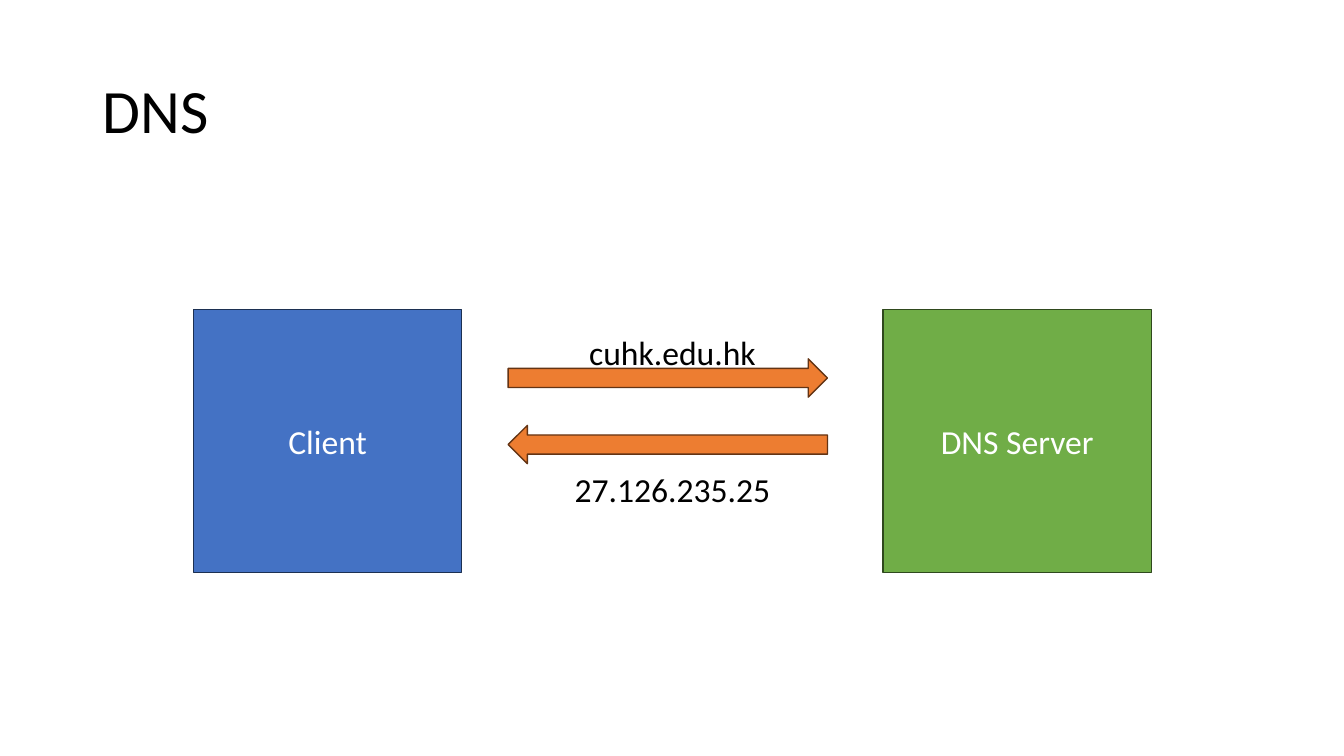
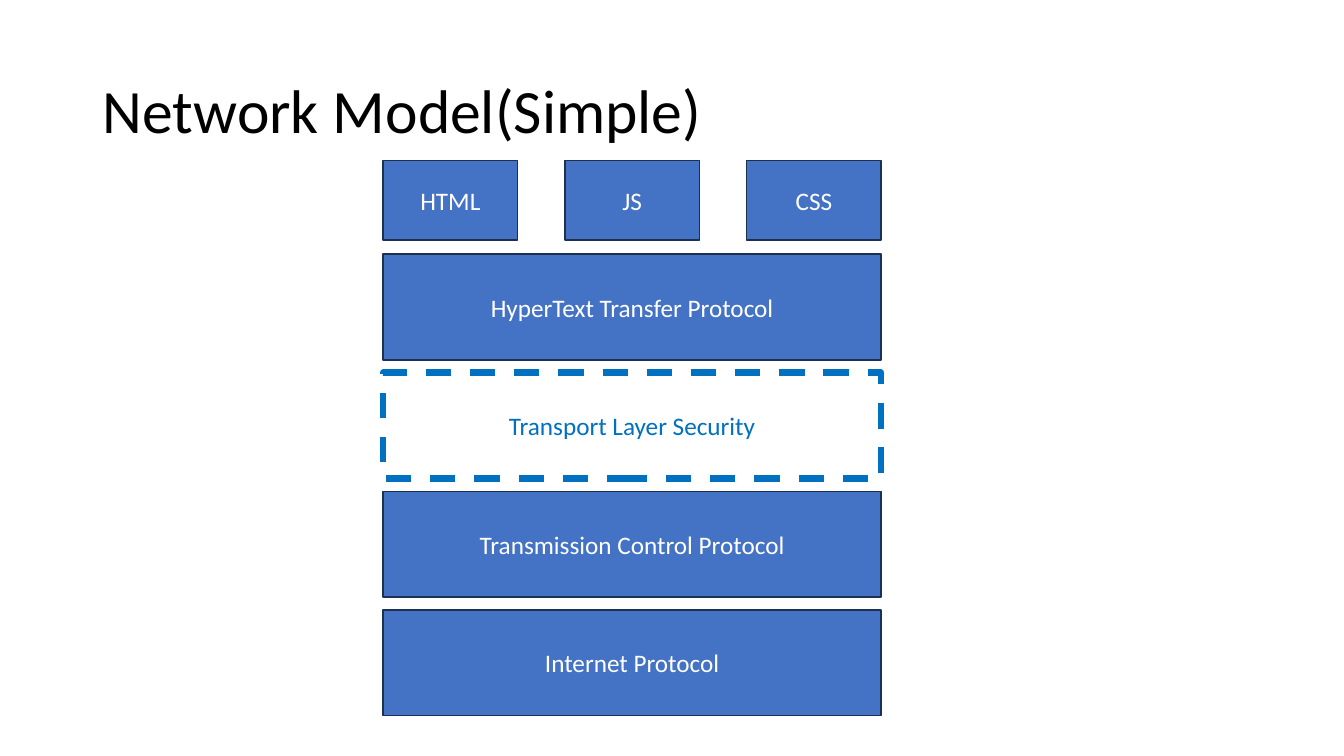
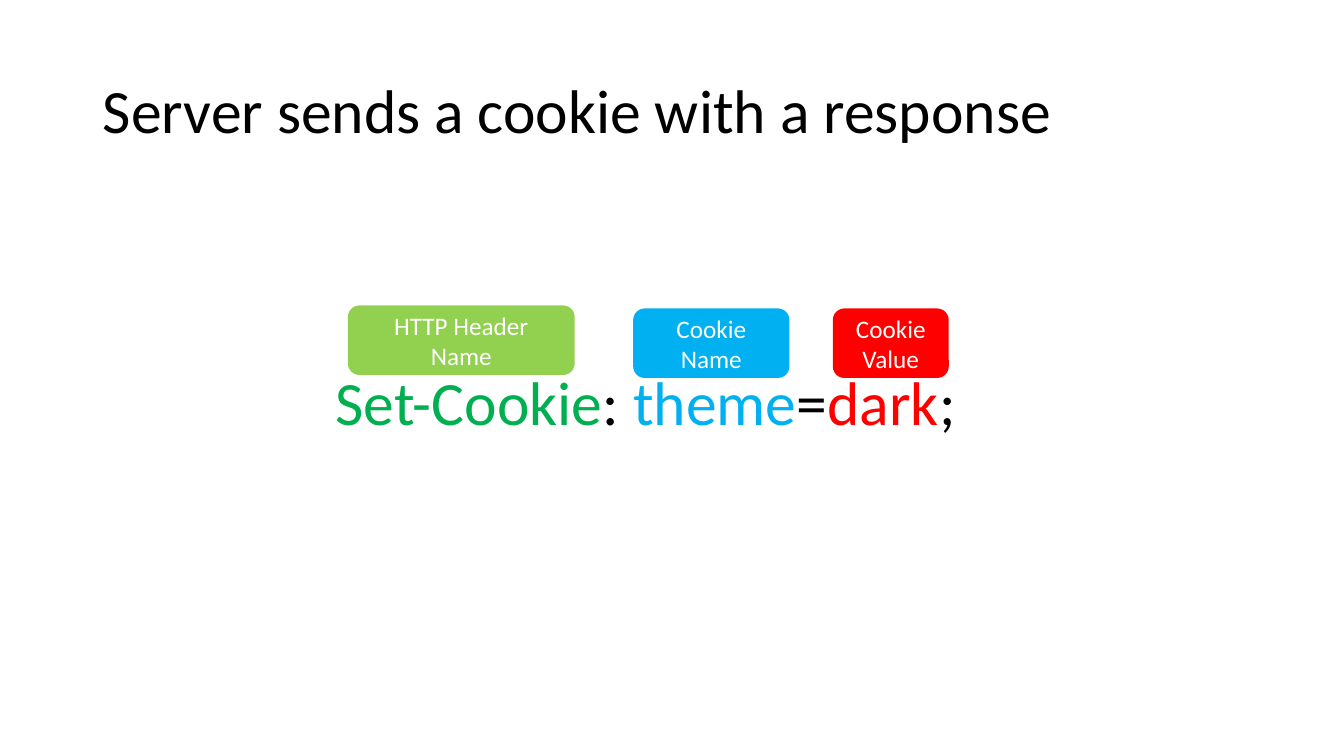
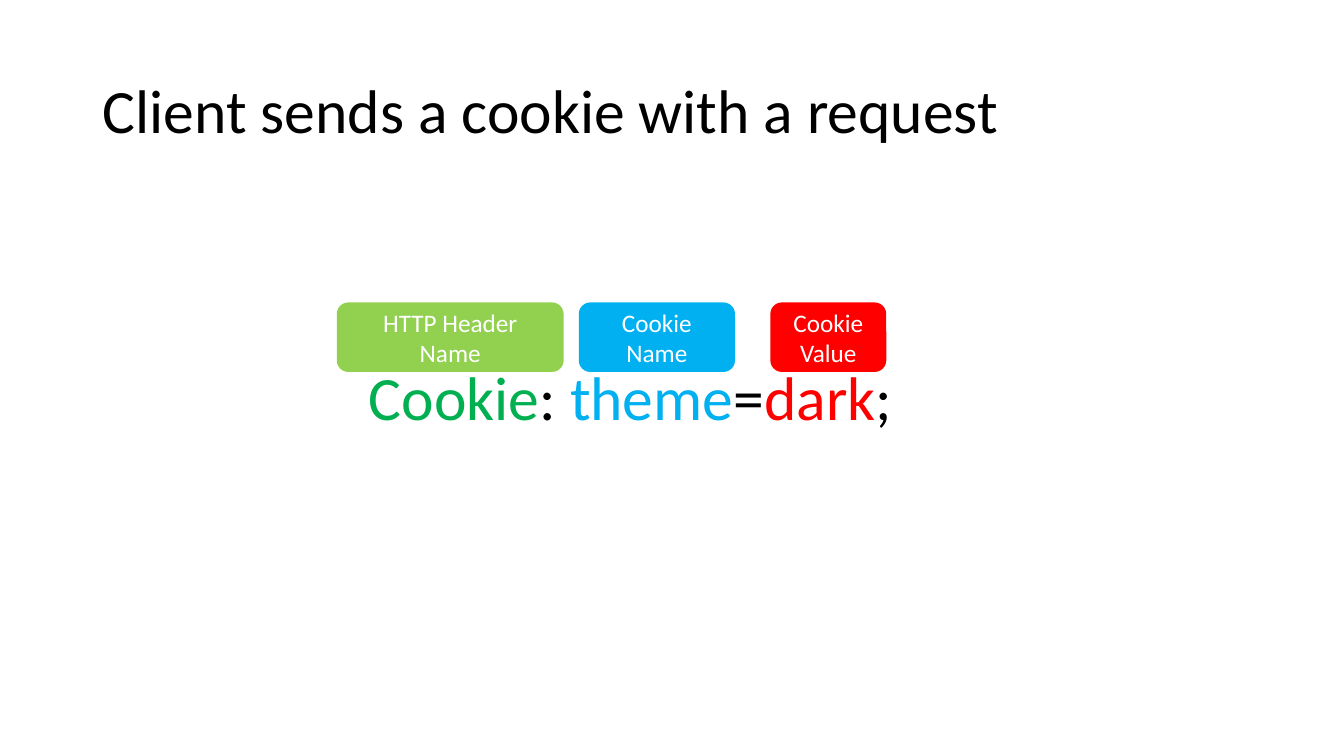
import pptx
import pptx.util
import pptx.dml.color
import pptx.enum.dml
import pptx.enum.shapes
import pptx.enum.text

Inch = pptx.util.Inches
Pt = pptx.util.Pt
KIND = pptx.enum.shapes.MSO_SHAPE
ALIGN = pptx.enum.text.PP_ALIGN
ANCHOR = pptx.enum.text.MSO_ANCHOR
DASH = pptx.enum.dml.MSO_LINE.DASH

# Shared look
FONT = "Calibri"
BLACK, WHITE = "000000", "FFFFFF"
BLUE, NAVY = "4472C4", "1C3052"
GREEN, MOSS = "70AD47", "2F491D"
ORANGE, BROWN = "ED7D31", "643414"
TEAL, LIME, LEAF, SKY, RED = "0070C0", "92D050", "00B050", "00B0F0", "FF0000"


def rgb(code):
    return pptx.dml.color.RGBColor.from_string(code)


def write(frame, runs, size, align=ALIGN.LEFT, anchor=ANCHOR.TOP, lead=None):
    """Fill a frame with one paragraph of (text, colour) runs."""
    frame.word_wrap = True
    frame.auto_size = pptx.enum.text.MSO_AUTO_SIZE.NONE
    frame.vertical_anchor = anchor
    para = frame.paragraphs[0]
    para.alignment = align
    if lead:
        para.line_spacing = lead
    for text, color in runs:
        run = para.add_run()
        run.text = text
        run.font.name = FONT
        run.font.size = Pt(size)
        run.font.color.rgb = rgb(color)


def label(slide, box, runs, size, **style):
    area = slide.shapes.add_textbox(*map(Inch, box))
    write(area.text_frame, runs, size, **style)


def block(slide, kind, box, fill=None, edge=None, width=1, dash=None,
          text=None, size=18, color=WHITE):
    """Draw a preset shape with optional centred text."""
    shape = slide.shapes.add_shape(kind, *map(Inch, box))
    shape.shadow.inherit = False
    if fill:
        shape.fill.solid()
        shape.fill.fore_color.rgb = rgb(fill)
    else:
        shape.fill.background()
    if edge:
        shape.line.color.rgb = rgb(edge)
        shape.line.width = Pt(width)
        if dash:
            shape.line.dash_style = dash
    else:
        shape.line.fill.background()
    if text:
        write(shape.text_frame, [(text, color)], size,
              ALIGN.CENTER, ANCHOR.MIDDLE)
    return shape


def page(deck, title):
    """Add a slide with the shared title style."""
    slide = deck.slides.add_slide(deck.slide_layouts[5])
    head = slide.shapes.title
    head.left, head.top, head.width, head.height = map(
        Inch, (0.92, 0.4, 11.5, 1.45))
    write(head.text_frame, [(title, BLACK)], 44,
          anchor=ANCHOR.MIDDLE, lead=0.9)
    return slide


def lookup(slide, box):
    """Two hosts with a question and an answer between them."""
    left, top, wide, high = box
    side = 0.28 * wide
    hosts = [("Client", BLUE, NAVY, left),
             ("DNS Server", GREEN, MOSS, left + wide - side)]
    for name, fill, edge, x in hosts:
        block(slide, KIND.RECTANGLE, (x, top, side, high), fill, edge,
              text=name, size=24)
    # Arrows and their labels, centred in the gap
    gap = wide - 2 * side
    trips = [("cuhk.edu.hk", 0.49, 0.17, 0),
             ("27.126.235.25", 1.15, 1.53, 180)]
    for text, drop, rise, turn in trips:
        arrow = block(slide, KIND.RIGHT_ARROW,
                      (left + side + 0.46, top + drop, wide / 3, 0.38),
                      ORANGE, BROWN)
        arrow.rotation = turn
        label(slide, (left + side, top + rise, gap, 0.5),
              [(text, BLACK)], 24, align=ALIGN.CENTER)


def stack(slide, box, files, layers):
    """A row of file types above full-width protocol layers."""
    left, top, wide, high = box
    cell = 0.27 * wide
    step = (wide - cell) / (len(files) - 1)
    for col, name in enumerate(files):
        block(slide, KIND.RECTANGLE, (left + col * step, top, cell, 0.79),
              BLUE, NAVY, text=name)
    first, tall = 0.93, 1.05
    pitch = (high - first - tall) / (len(layers) - 1)
    solid = dict(fill=BLUE, edge=NAVY)
    open_ = dict(edge=TEAL, width=4.5, dash=DASH.DASH, color=TEAL)
    for row, (name, secure) in enumerate(layers):
        block(slide, KIND.RECTANGLE,
              (left, top + first + row * pitch, wide, tall),
              text=name, **(open_ if secure else solid))


def cookie(slide, box, header, spots):
    """A coloured header line with a tag over each part."""
    left, top = box[:2]
    label(slide, box, [(header, LEAF), (": ", BLACK), ("theme", SKY),
                       ("=", BLACK), ("dark", RED), (";", BLACK)],
          44, lead=0.9)
    tags = [("HTTP Header Name", LIME, 2.25), ("Cookie Name", SKY, 1.55),
            ("Cookie Value", RED, 1.15)]
    for (name, fill, wide), (dx, rise) in zip(tags, spots):
        block(slide, KIND.ROUNDED_RECTANGLE,
              (left + dx, top - rise, wide, 0.69), fill, text=name)


def main():
    deck = pptx.Presentation()
    deck.slide_width, deck.slide_height = Inch(13.33), Inch(7.5)

    lookup(page(deck, "DNS"), (1.92, 3.07, 9.5, 2.61))

    stack(page(deck, "Network Model(Simple)"), (3.8, 1.59, 4.94, 5.51),
          ["HTML", "JS", "CSS"],
          [("HyperText Transfer Protocol", False),
           ("Transport Layer Security", True),
           ("Transmission Control Protocol", False),
           ("Internet Protocol", False)])

    cookie(page(deck, "Server sends a cookie with a response"),
           (3.23, 3.64, 6.57, 1.03), "Set-Cookie",
           [(0.22, 0.61), (3.05, 0.58), (5.03, 0.58)])
    cookie(page(deck, "Client sends a cookie with a request"),
           (3.56, 3.59, 6.57, 1.03), "Cookie",
           [(-0.22, 0.59), (2.18, 0.59), (4.08, 0.59)])

    deck.save("out.pptx")


if __name__ == "__main__":
    main()
